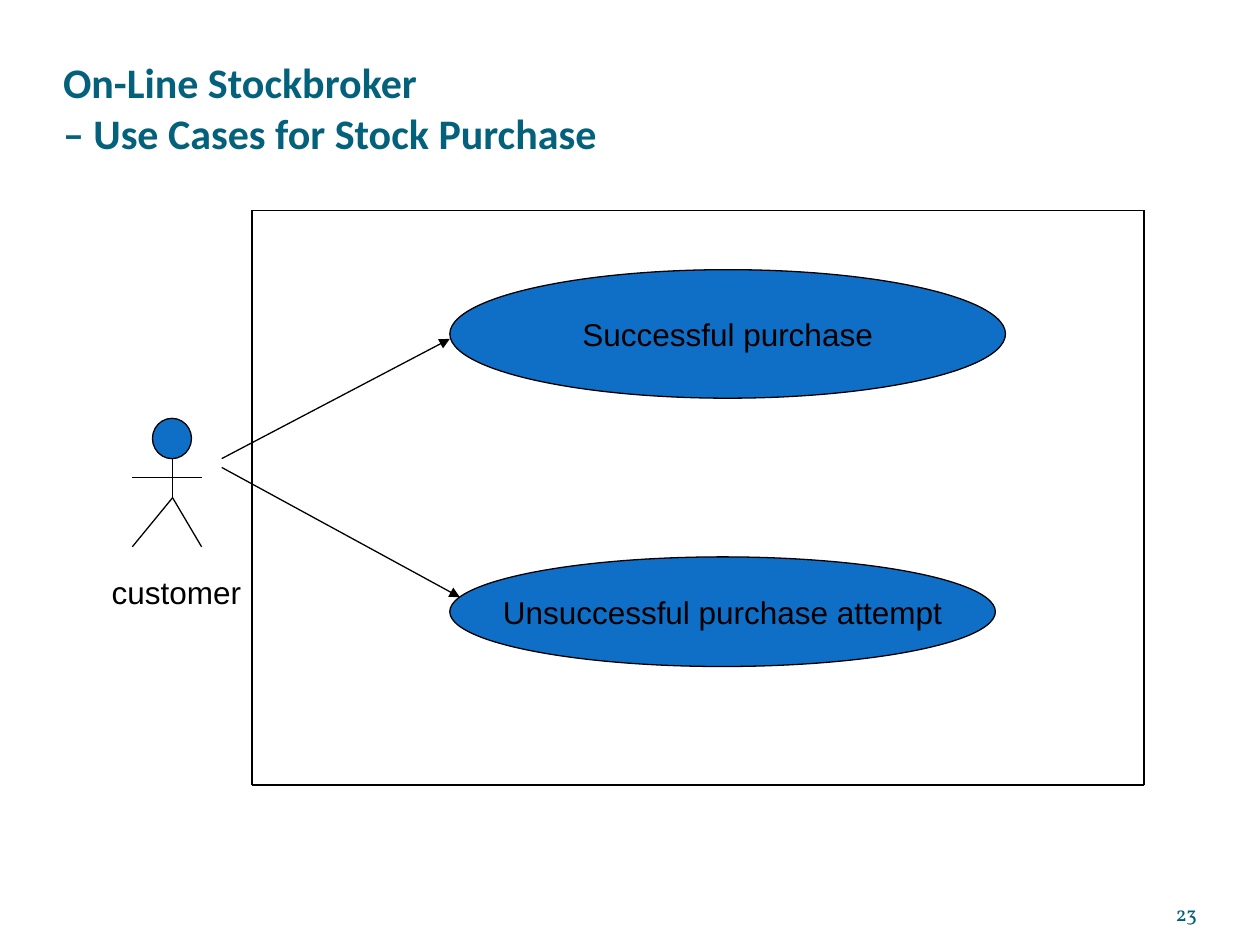
import itertools
from dataclasses import dataclass

import pptx
import pptx.dml.color
import pptx.enum.shapes
import pptx.enum.text
import pptx.oxml
import pptx.oxml.ns
import pptx.util

Inches = pptx.util.Inches
Align = pptx.enum.text.PP_ALIGN
Anchor = pptx.enum.text.MSO_ANCHOR


@dataclass(frozen=True)
class Theme:
    title_color: str = "04617B"
    number_color: str = "045D75"
    fill: str = "0F6FC6"
    ink: str = "000000"
    title_font: str = "Calibri"
    body_font: str = "Arial"
    number_font: str = "Vollkorn"
    title_size: int = 24
    body_size: int = 18
    number_size: int = 12
    line_width: float = 0.75


def rgb(value):
    return pptx.dml.color.RGBColor.from_string(value)


class Diagram:
    """Draws styled elements on the current slide."""

    def __init__(self, slide, theme):
        self.slide = slide
        self.theme = theme

    def set_text(self, sp, text, font, size, color, align, anchor,
                 bold=False, wrap=False, insets=(0.1, 0.05, 0.1, 0.05)):
        tf = sp.text_frame
        tf.text = text
        tf.word_wrap = wrap
        tf.auto_size = pptx.enum.text.MSO_AUTO_SIZE.NONE
        tf.vertical_anchor = anchor
        (tf.margin_left, tf.margin_top,
         tf.margin_right, tf.margin_bottom) = map(Inches, insets)
        for p in tf.paragraphs:
            p.alignment = align
            for r in p.runs:
                r.font.name = font
                r.font.size = pptx.util.Pt(size)
                r.font.bold = bold
                r.font.color.rgb = rgb(color)

    def title(self, text, box):
        sp = self.slide.shapes.title
        sp.left, sp.top, sp.width, sp.height = map(Inches, box)
        t = self.theme
        self.set_text(sp, text, t.title_font, t.title_size, t.title_color,
                      Align.LEFT, Anchor.BOTTOM, bold=True, wrap=True,
                      insets=(0, 0.05, 0, 0))

    def page_number(self, text, box):
        sp = self.slide.shapes.add_textbox(*map(Inches, box))
        t = self.theme
        self.set_text(sp, text, t.number_font, t.number_size, t.number_color,
                      Align.RIGHT, Anchor.BOTTOM, wrap=True,
                      insets=(0, 0, 0, 0))

    def body_text(self, sp, text):
        t = self.theme
        self.set_text(sp, text, t.body_font, t.body_size, t.ink,
                      Align.CENTER, Anchor.MIDDLE)

    def label(self, text, box):
        self.body_text(self.slide.shapes.add_textbox(*map(Inches, box)), text)

    def stroke(self, line):
        line.color.rgb = rgb(self.theme.ink)
        line.width = pptx.util.Pt(self.theme.line_width)

    def ellipse(self, box, text=None):
        sp = self.slide.shapes.add_shape(
            pptx.enum.shapes.MSO_SHAPE.OVAL, *map(Inches, box))
        sp.shadow.inherit = False
        sp.fill.solid()
        sp.fill.fore_color.rgb = rgb(self.theme.fill)
        self.stroke(sp.line)
        if text:
            self.body_text(sp, text)

    def line(self, start, end, arrow=False):
        cxn = self.slide.shapes.add_connector(
            pptx.enum.shapes.MSO_CONNECTOR.STRAIGHT,
            *map(Inches, (*start, *end)))
        self.stroke(cxn.line)
        sp_pr = cxn.element.spPr
        ns = pptx.oxml.ns.nsdecls("a")
        if arrow:
            ln = sp_pr.find(pptx.oxml.ns.qn("a:ln"))
            ln.append(pptx.oxml.parse_xml(f'<a:tailEnd {ns} type="triangle"/>'))
        sp_pr.append(pptx.oxml.parse_xml(f"<a:effectLst {ns}/>"))


def main():
    prs = pptx.Presentation()
    prs.slide_width, prs.slide_height = Inches(10), Inches(7.5)
    slide = prs.slides.add_slide(prs.slide_layouts[5])
    d = Diagram(slide, Theme())

    # Title and page number
    d.title("On-Line Stockbroker\v– Use Cases for Stock Purchase",
            (0.5, 0, 9, 1.25))
    d.page_number("23", (8.67, 6.95, 0.83, 0.4))

    # Customer: head, body, legs, arms and name
    neck, hip = (1.37, 3.64), (1.37, 3.95)
    left, right = 1.05, 1.6
    d.ellipse((1.21, 3.32, 0.31, 0.32))
    d.line(neck, hip)
    for x in (left, right):
        d.line(hip, (x, 4.34))
    d.line((left, 3.79), (right, 3.79))
    d.label("customer", (0.81, 4.58, 1.18, 0.24))

    # System boundary
    corners = [(2, 1.67), (9.08, 1.67), (9.08, 6.23), (2, 6.23)]
    for start, end in itertools.pairwise(corners + corners[:1]):
        d.line(start, end)

    # Use cases, then the arrows from the customer
    d.ellipse((3.57, 2.14, 4.41, 1.02), "Successful purchase")
    d.ellipse((3.57, 4.42, 4.33, 0.87), "Unsuccessful purchase attempt")
    d.line((1.76, 3.64), (3.57, 2.69), arrow=True)
    d.line((1.76, 3.71), (3.65, 4.74), arrow=True)

    prs.save("out.pptx")


if __name__ == "__main__":
    main()
